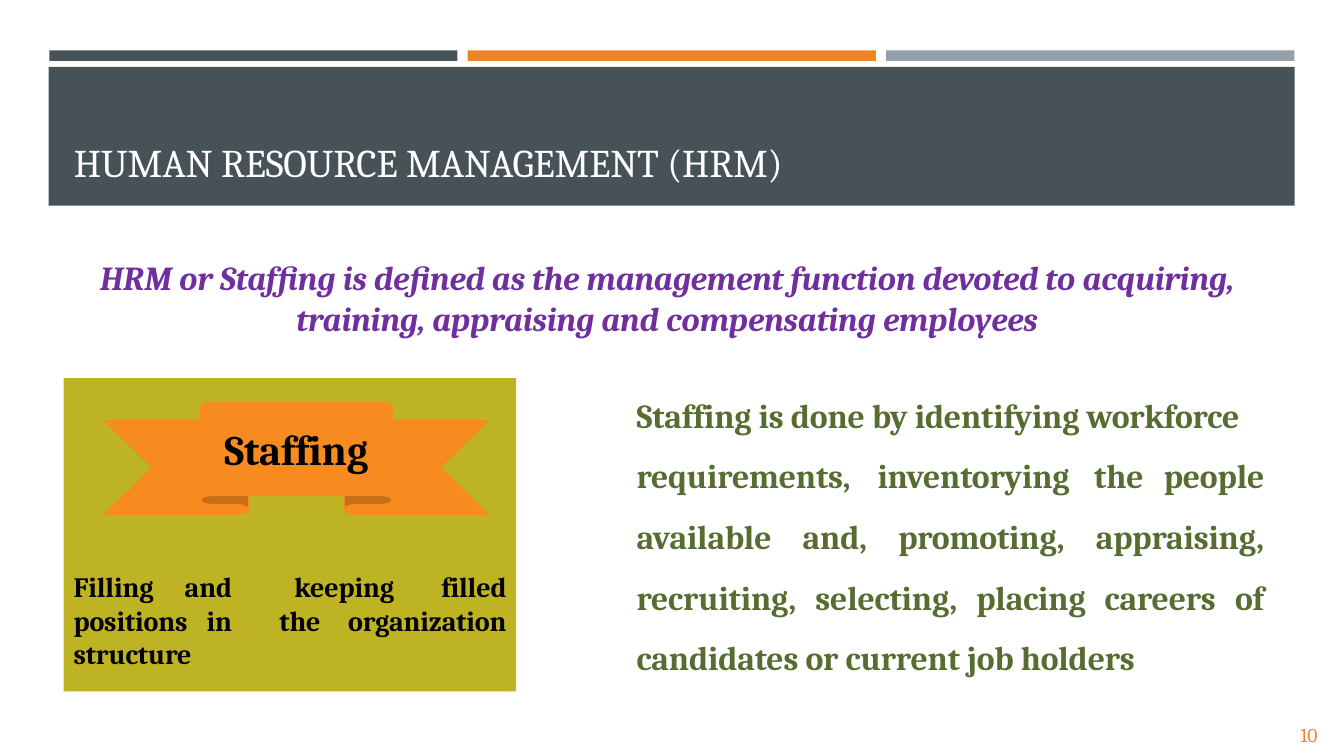
"""Build the staffing slide on human resource management."""
from dataclasses import dataclass, field

from lxml import etree
from pptx import Presentation, util as u
from pptx.dml.color import RGBColor
from pptx.enum import shapes, text
from pptx.oxml import ns

HUES = {
    "slate": "465258", "orange": "EC8428", "grey": "959FA7",
    "olive": "BDB323", "ribbon": "F88B1F", "purple": "6F2F9F",
    "green": "576C31", "white": "FFFFFF", "black": "000000",
}
LEFT, MID = text.PP_ALIGN.LEFT, text.PP_ALIGN.CENTER
RIGHT, FULL = text.PP_ALIGN.RIGHT, text.PP_ALIGN.JUSTIFY
RECT, RIBBON = shapes.MSO_SHAPE.RECTANGLE, shapes.MSO_SHAPE.UP_RIBBON
TOP, MIDDLE = text.MSO_ANCHOR.TOP, text.MSO_ANCHOR.MIDDLE


@dataclass
class Copy:
    lines: list[str]
    size: float
    hue: str
    align: text.PP_ALIGN = LEFT
    bold: bool = True
    slant: bool = False
    space: float = 1
    track: int = -10
    tabs: list[float] = field(default_factory=list)
    inset: tuple[float, float] = (0, 0.7)
    anchor: text.MSO_ANCHOR = TOP


@dataclass
class Block:
    x: float
    y: float
    w: float
    h: float
    hue: str = ""
    kind: shapes.MSO_SHAPE = RECT
    edge: float = 0
    copy: Copy | None = None


def tint(hue: str) -> RGBColor:
    return RGBColor.from_string(HUES[hue])


def assign(item: object, form: dict[str, object]) -> None:
    for name, value in form.items():
        setattr(item, name, value)


def write(frame, copy: Copy) -> None:
    left, top = copy.inset
    assign(frame, {
        "word_wrap": True, "vertical_anchor": copy.anchor,
        "margin_left": u.Pt(left), "margin_top": u.Pt(top),
        "margin_right": 0, "margin_bottom": 0,
    })
    for i, line in enumerate(copy.lines):
        para = frame.add_paragraph() if i else frame.paragraphs[0]
        assign(para, {"alignment": copy.align, "line_spacing": copy.space})
        if copy.tabs:
            stops = etree.SubElement(para._p.get_or_add_pPr(), ns.qn("a:tabLst"))
            for stop in copy.tabs:
                etree.SubElement(stops, ns.qn("a:tab"),
                                 pos=str(u.Pt(stop)), algn="l")
        run = para.add_run()
        run.text = line
        assign(run.font, {"name": "Cambria", "size": u.Pt(copy.size),
                          "bold": copy.bold, "italic": copy.slant})
        run.font.color.rgb = tint(copy.hue)
        run._r.get_or_add_rPr().set("spc", str(copy.track))


def draw(slide, block: Block) -> None:
    area = [u.Pt(n) for n in (block.x, block.y, block.w, block.h)]
    if block.hue:
        shape = slide.shapes.add_shape(block.kind, *area)
        shape.shadow.inherit = False
        shape.fill.solid()
        shape.fill.fore_color.rgb = tint(block.hue)
        if block.edge:
            shape.line.color.rgb = tint(block.hue)
            shape.line.width = u.Pt(block.edge)
        else:
            shape.line.fill.background()
    else:
        shape = slide.shapes.add_textbox(*area)
    if block.copy:
        write(shape.text_frame, block.copy)


BARS = [Block(35.2 + 298.9 * i, 36, 291.6, 7.5, hue)
        for i, hue in enumerate(("slate", "orange", "grey"))]

BLOCKS = BARS + [
    Block(34.8, 47.7, 889.9, 99.2, "slate", copy=Copy(
        ["HUMAN RESOURCE MANAGEMENT (HRM)"], 28, "white",
        bold=False, inset=(18, 51))),
    Block(61.3, 183, 830, 60, copy=Copy(
        ["HRM or Staffing is defined as the management function devoted to "
         "acquiring, training, appraising and compensating employees"],
        24, "purple", MID, slant=True)),
    Block(45.4, 270, 323.3, 223.9, "olive"),
    Block(194.4, 406.2, 167.4, 50.4, copy=Copy(
        ["keeping\tfilled", "the\torganization"], 20, "black", RIGHT,
        tabs=[49, 105.1])),
    Block(52.6, 406.2, 113, 74.2, copy=Copy(
        ["Filling and positions in structure"], 20, "black", FULL)),
    Block(74.9, 287.3, 273.6, 79.9, "ribbon", RIBBON, 0.96, Copy(
        ["Staffing"], 30, "black", MID, anchor=MIDDLE, inset=(0, 0))),
    Block(928.8, 516.6, 22, 18.7, copy=Copy(
        ["10"], 14, "orange", bold=False, track=0, inset=(0, 0))),
    Block(454.7, 267, 455, 88.6, copy=Copy(
        ["Staffing is done by identifying workforce "
         "requirements,\tinventorying\tthe\tpeople"],
        24, "green", space=1.5, tabs=[172.1, 326.9, 376.6])),
    Block(454.7, 353.5, 448, 131.8, copy=Copy(
        ["available and, promoting, appraising, recruiting, selecting, "
         "placing careers of candidates or current job holders"],
        24, "green", FULL, space=1.5)),
]


def main() -> None:
    deck = Presentation()
    assign(deck, {"slide_width": u.Pt(960), "slide_height": u.Pt(540)})
    slide = deck.slides.add_slide(deck.slide_layouts[6])
    for block in BLOCKS:
        draw(slide, block)
    deck.save("out.pptx")


if __name__ == "__main__":
    main()
